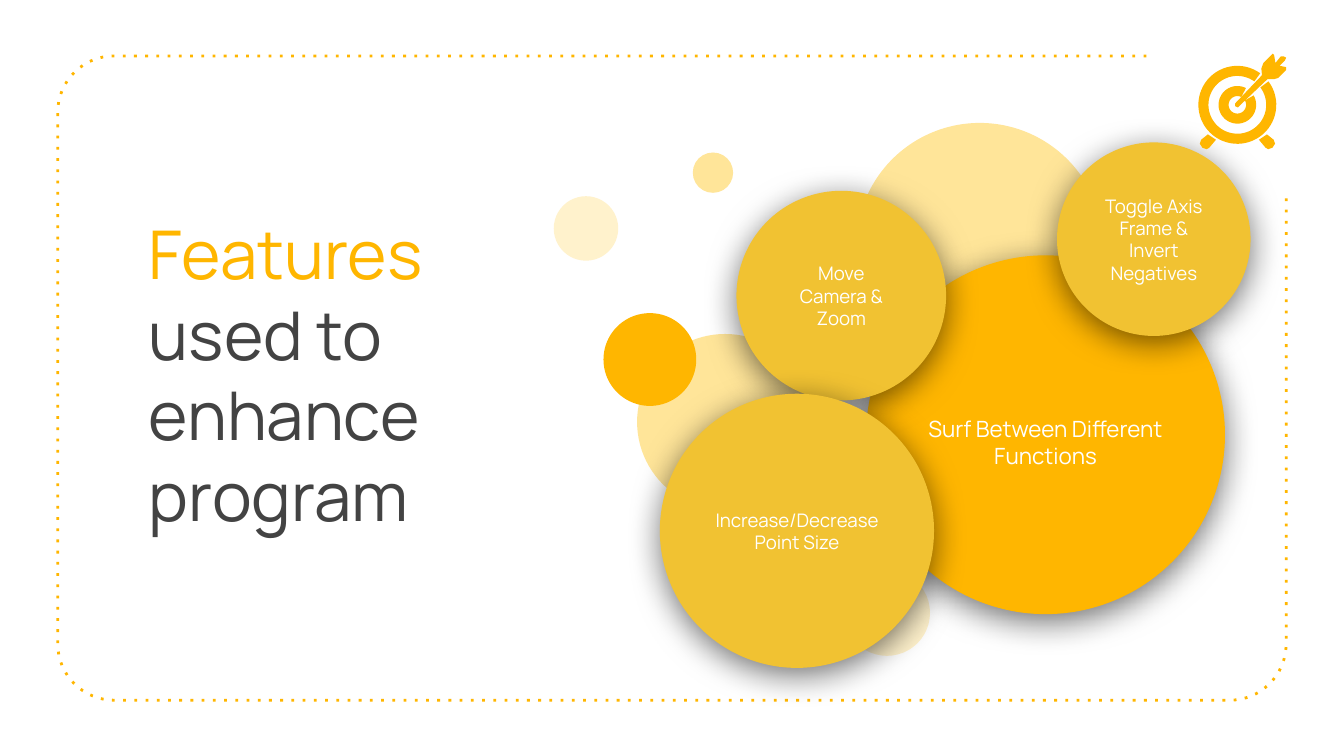
from dataclasses import dataclass
from math import cos, radians, sin

from lxml.etree import SubElement
from pptx import Presentation
from pptx.dml.color import RGBColor
from pptx.enum.shapes import MSO_SHAPE as Shape
from pptx.enum.text import MSO_ANCHOR as Anchor, PP_ALIGN as Align
from pptx.oxml.ns import qn
from pptx.util import Inches, Pt

WIDTH = Inches(10)
HEIGHT = WIDTH * 9 // 16
UNIT = WIDTH / 100  # the slide is a grid of 100 columns; rows are equally tall
FONT = "Manrope"
AMBER, GOLD, SAND, CREAM = "FFB600", "F1C232", "FFE599", "FFF2CC"
WHITE, CHARCOAL = "FFFFFF", "434343"

Point = tuple[float, float]


@dataclass
class Circle:
    """A disc given by its centre and diameter in grid units."""
    x: float
    y: float
    size: float
    color: str


@dataclass
class Bubble(Circle):
    lines: tuple[str, ...]
    text_width: float
    font_size: int = 10
    text_drop: float = 0


DECOR = [
    Circle(66, 45.6, 6.4, CREAM),
    Circle(43.6, 17, 4.8, CREAM),
    Circle(53.95, 31.4, 13.1, SAND),
    Circle(72.9, 18.35, 18.4, SAND),
    Circle(48.35, 26.75, 6.9, AMBER),
    Circle(53.05, 12.85, 3, SAND),
]
BUBBLES = [
    Bubble(77.8, 32.35, 26.7, AMBER, ("Surf Between Different", "Functions"), 20.4, 12, 0.55),
    Bubble(62.6, 22, 15.6, GOLD, ("Move Camera & Zoom",), 10.6),
    Bubble(59.3, 39.5, 20.4, GOLD, ("Increase/Decrease Point Size",), 14.6),
    Bubble(85.85, 17.8, 14.4, GOLD, ("Toggle Axis Frame & Invert Negatives",), 9.8),
]

TARGET = (92.07, 7.8)
RINGS = [(2.9, 2.15, -37, 306), (1.4, 0.65, -30, 297)]  # outer, inner, gap edges
LEG = [(-2.2, 2.2), (-2.7, 2.6), (-2.8, 2.9), (-2.6, 3.2),
       (-2.3, 3.3), (-2.1, 3.2), (-1.6, 2.6)]
ARROW = [(94.7, 4), (94, 4.7), (93.85, 5.1), (93.9, 5.6), (91.9, 7.7), (91.9, 7.9),
         (92.1, 8), (92.2, 7.9), (94.3, 5.9), (94.8, 5.9), (95.1, 5.8), (95.7, 5.2),
         (95.7, 5), (95.2, 4.9), (95.6, 4.5), (95.7, 4.3), (95.5, 4.2), (95.3, 4.2),
         (94.9, 4.7), (94.8, 4.1)]


def rgb(color: str) -> RGBColor:
    return RGBColor.from_string(color)


def emu(units: float) -> int:
    return round(units * UNIT)


def arc(center: Point, radius: float, start: float, end: float, steps: int = 16) -> list[Point]:
    """Points along an arc; degrees run clockwise from the right."""
    angles = [radians(start + (end - start) * i / steps) for i in range(steps + 1)]
    return [(center[0] + radius * cos(a), center[1] + radius * sin(a)) for a in angles]


def outline(shapes, points: list[Point], close: bool = True):
    first, *rest = [(emu(x), emu(y)) for x, y in points]
    builder = shapes.build_freeform(*first)
    builder.add_line_segments(rest, close=close)
    sp = builder.convert_to_shape()
    sp.shadow.inherit = False
    return sp


def solid(sp, color: str) -> None:
    sp.fill.solid()
    sp.fill.fore_color.rgb = rgb(color)
    sp.line.fill.background()


def draw_frame(shapes) -> None:
    left, top, right, bottom, radius = 4.3, 4.16, 95.7, 52.1, 4.2
    low = bottom - radius
    points = [(85.3, top)]
    points += arc((left + radius, top + radius), radius, 270, 180)
    points += arc((left + radius, low), radius, 180, 90)
    points += arc((right - radius, low), radius, 90, 0)
    points.append((right, 14.6))
    sp = outline(shapes, points, close=False)
    sp.fill.background()
    sp.line.color.rgb = rgb(AMBER)
    sp.line.width = Pt(1.5)
    SubElement(sp._element.spPr.find(qn("a:ln")), qn("a:prstDash"), val="dot")


def draw_circle(shapes, c: Circle):
    corner = emu(c.x - c.size / 2), emu(c.y - c.size / 2)
    sp = shapes.add_shape(Shape.OVAL, *corner, emu(c.size), emu(c.size))
    sp.shadow.inherit = False
    solid(sp, c.color)
    return sp


def add_shadow(sp) -> None:
    effects = sp._element.spPr.find(qn("a:effectLst"))
    shadow = SubElement(effects, qn("a:outerShdw"), blurRad=str(Pt(18)), dist=str(Pt(4)),
                        dir="5400000", algn="bl", rotWithShape="0")
    black = SubElement(shadow, qn("a:srgbClr"), val="000000")
    SubElement(black, qn("a:alpha"), val="55000")


def add_text_frame(shapes, x: float, y: float, width: float, height: float):
    tf = shapes.add_textbox(emu(x), emu(y), emu(width), emu(height)).text_frame
    tf.word_wrap = True
    tf.margin_left = tf.margin_right = tf.margin_top = tf.margin_bottom = emu(1)
    return tf


def draw_bubble(shapes, b: Bubble) -> None:
    add_shadow(draw_circle(shapes, b))
    height = b.size * 0.65
    tf = add_text_frame(shapes, b.x - b.text_width / 2, b.y + b.text_drop - height / 2,
                        b.text_width, height)
    tf.vertical_anchor = Anchor.MIDDLE
    tf.text = "\n".join(b.lines)
    for p in tf.paragraphs:
        p.alignment = Align.CENTER
        p.font.name, p.font.size = FONT, Pt(b.font_size)
        p.font.color.rgb = rgb(WHITE)


def draw_title(shapes) -> None:
    p = add_text_frame(shapes, 10.1, 14.8, 29.7, 9.4).paragraphs[0]
    p.font.name, p.font.size = FONT, Pt(36)
    for text, color in (("Features ", AMBER), ("used to enhance program", CHARCOAL)):
        r = p.add_run()
        r.text = text
        r.font.color.rgb = rgb(color)


def draw_target(shapes) -> None:
    x, y = TARGET
    parts = [arc(TARGET, outer, start, end, 60) + arc(TARGET, inner, end, start, 60)
             for outer, inner, start, end in RINGS]
    parts += [[(x + side * dx, y + dy) for dx, dy in LEG] for side in (1, -1)]
    for points in parts + [ARROW]:
        solid(outline(shapes, points), AMBER)


def main() -> None:
    prs = Presentation()
    prs.slide_width, prs.slide_height = WIDTH, HEIGHT
    shapes = prs.slides.add_slide(prs.slide_layouts[6]).shapes
    draw_frame(shapes)
    draw_title(shapes)
    for circle in DECOR:
        draw_circle(shapes, circle)
    for bubble in BUBBLES:
        draw_bubble(shapes, bubble)
    draw_target(shapes)
    prs.save("out.pptx")


if __name__ == "__main__":
    main()
